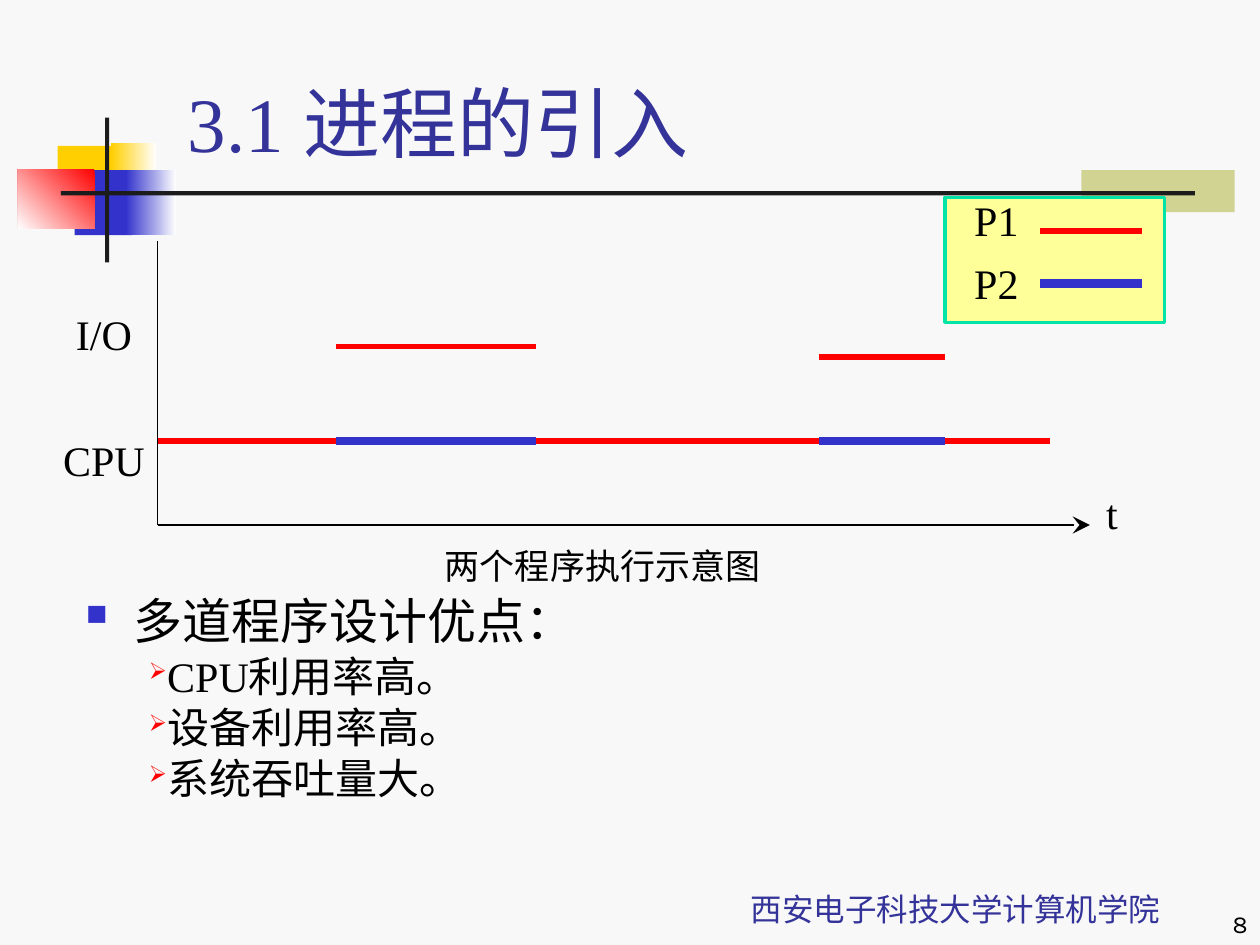
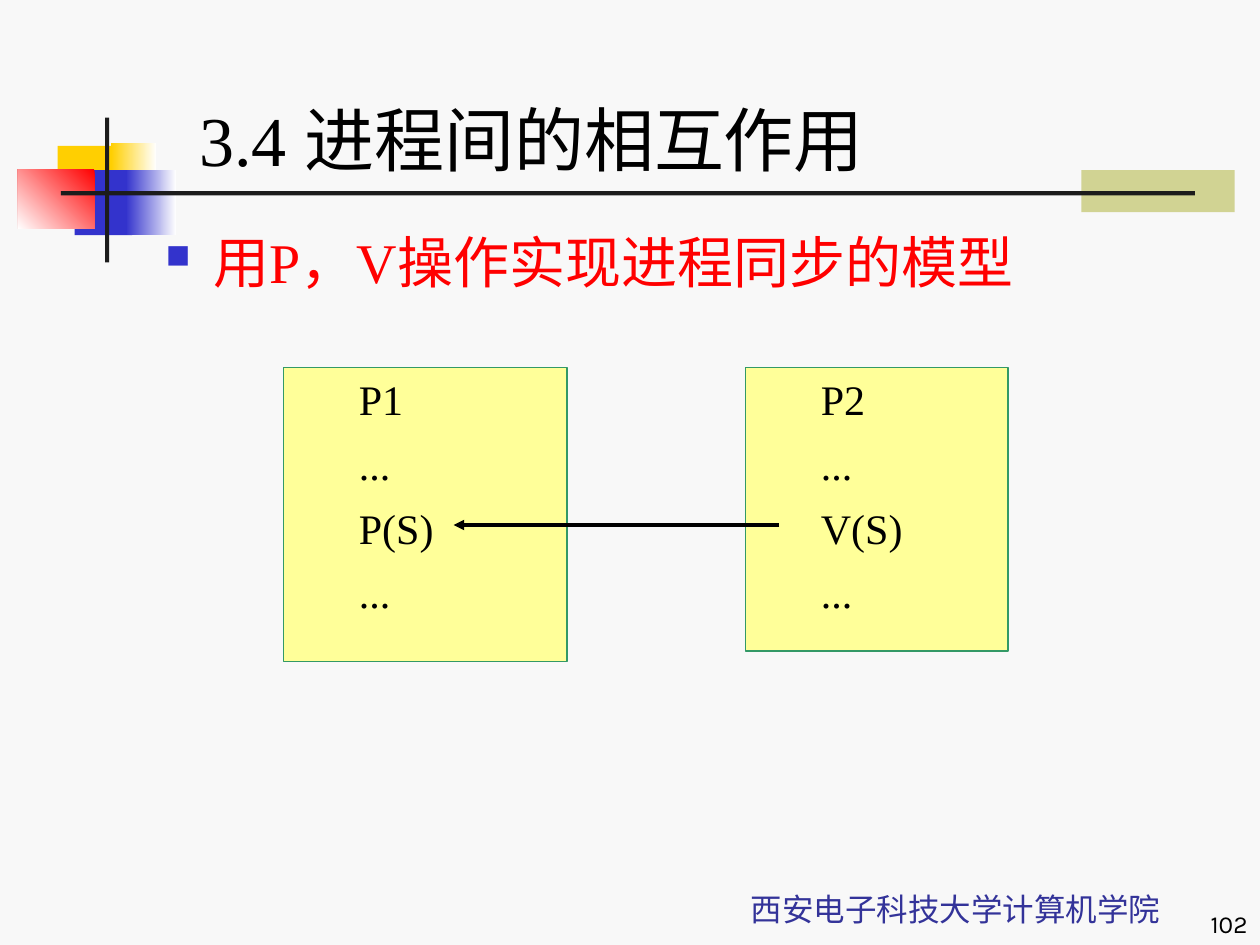
from dataclasses import dataclass
from typing import Optional

from lxml import etree
from pptx import Presentation, util as u
from pptx.dml.color import RGBColor
from pptx.enum import shapes, text
from pptx.oxml import ns

COLUMNS, ROWS = 120, 90
WIDTH, HEIGHT = u.Inches(10), u.Inches(7.5)


@dataclass(frozen=True)
class Theme:
    paper: str = "F8F8F8"
    ink: str = "000000"
    rule: str = "1C1C1C"
    navy: str = "333399"
    blue: str = "3333CC"
    red: str = "FF0000"
    gold: str = "FFCF01"
    olive: str = "D1D393"
    white: str = "FFFFFF"
    panel: str = "FFFF99"
    mint: str = "00E4A8"
    green: str = "339966"
    serif: str = "Times New Roman"
    cjk: str = "Noto Sans CJK SC"
    number_font: str = "Karla"
    heading: int = 32
    topic: int = 28
    label: int = 24
    caption: int = 20
    footer: int = 18
    number: int = 14


THEME = Theme()


@dataclass(frozen=True)
class Area:
    column: float
    row: float
    columns: float
    rows: float

    def emu(self) -> tuple[int, int, int, int]:
        return across(self.column), down(self.row), across(self.columns), down(self.rows)


@dataclass(frozen=True)
class Block:
    area: Area
    color: str
    fade: Optional[str] = None
    angle: int = 0


@dataclass(frozen=True)
class Stroke:
    start: tuple[float, float]
    end: tuple[float, float]
    color: str
    points: float
    arrow: Optional[str] = None
    arrow_size: str = "med"


@dataclass(frozen=True)
class Label:
    words: str
    column: float
    row: float
    columns: float = 12
    size: int = THEME.label


@dataclass(frozen=True)
class Bullet:
    mark: str
    color: str
    percent: int
    margin: float
    indent: float


@dataclass(frozen=True)
class Process:
    area: Area
    steps: tuple[str, ...]


SQUARE = Bullet("■", THEME.blue, 60, 0.38, -0.38)
ARROW = Bullet("➢", THEME.red, 55, 0, 0.5)

ORNAMENTS = (
    Block(Area(103, 16.2, 14.6, 4), THEME.olive),
    Block(Area(5.5, 13.9, 5.8, 6.2), THEME.gold),
    Block(Area(10.6, 13.6, 4.3, 6.2), THEME.white, THEME.gold, 180),
    Block(Area(7.1, 16.2, 5.5, 6.2), THEME.blue),
    Block(Area(12, 16.2, 4.8, 6.2), THEME.white, THEME.blue, 180),
    Block(Area(1.7, 16.1, 7.3, 5.7), THEME.red, THEME.white, 225),
    Block(Area(10, 11.2, 0.4, 13.8), THEME.rule),
    Block(Area(5.8, 18.2, 108, 0.4), THEME.rule),
)


def across(columns: float) -> int:
    return round(WIDTH * columns / COLUMNS)


def down(rows: float) -> int:
    return round(HEIGHT * rows / ROWS)


def rgb(color: str) -> RGBColor:
    return RGBColor.from_string(color)


def add_child(parent, tag: str, **attributes):
    return etree.SubElement(parent, ns.qn(tag), attributes)


def write(frame, words: str, *, size: float, color: str = THEME.ink,
          font: str = THEME.serif, align=text.PP_ALIGN.LEFT, before: float = 0,
          after: float = 0, leading: float = 1, margin: float = 0,
          bullet: Optional[Bullet] = None) -> None:
    fresh = not frame.text
    paragraph = frame.paragraphs[0] if fresh else frame.add_paragraph()
    properties = paragraph._p.get_or_add_pPr()
    indent = bullet.indent if bullet else 0
    margin = bullet.margin if bullet else margin
    properties.set("marL", str(u.Inches(margin)))
    properties.set("indent", str(u.Inches(indent)))
    if bullet:
        add_child(add_child(properties, "a:buClr"), "a:srgbClr", val=bullet.color)
        add_child(properties, "a:buSzPct", val=str(bullet.percent * 1000))
        add_child(properties, "a:buChar", char=bullet.mark)
    paragraph.alignment = align
    paragraph.line_spacing = leading
    paragraph.space_before = u.Pt(0 if fresh else before)
    paragraph.space_after = u.Pt(after)
    run = paragraph.add_run()
    run.text = words
    run.font.size = u.Pt(size)
    run.font.name = font
    run.font.color.rgb = rgb(color)
    add_child(run._r.get_or_add_rPr(), "a:ea", typeface=THEME.cjk)


def text_area(slide, area: Area, anchor=text.MSO_ANCHOR.TOP):
    frame = slide.shapes.add_textbox(*area.emu()).text_frame
    frame.word_wrap = True
    frame.vertical_anchor = anchor
    return frame


def draw_block(slide, block: Block, border: Optional[str] = None, points: float = 0):
    shape = slide.shapes.add_shape(shapes.MSO_SHAPE.RECTANGLE, *block.area.emu())
    shape.shadow.inherit = False
    if block.fade:
        shape.fill.gradient()
        shape.fill.gradient_angle = block.angle
        for stop, color in zip(shape.fill.gradient_stops, (block.color, block.fade)):
            stop.color.rgb = rgb(color)
    else:
        shape.fill.solid()
        shape.fill.fore_color.rgb = rgb(block.color)
    if border:
        shape.line.color.rgb = rgb(border)
        shape.line.width = u.Pt(points)
    else:
        shape.line.fill.background()
    return shape


def draw_stroke(slide, stroke: Stroke) -> None:
    (x1, y1), (x2, y2) = stroke.start, stroke.end
    line = slide.shapes.add_connector(
        shapes.MSO_CONNECTOR.STRAIGHT, across(x1), down(y1), across(x2), down(y2))
    line.line.color.rgb = rgb(stroke.color)
    line.line.width = u.Pt(stroke.points)
    if stroke.arrow:
        add_child(line.line._get_or_add_ln(), "a:tailEnd", type=stroke.arrow,
                  w=stroke.arrow_size, len=stroke.arrow_size)
    add_child(line._element.spPr, "a:effectLst")


def draw_label(slide, label: Label) -> None:
    area = Area(label.column - label.columns / 2, label.row, label.columns, 3.8)
    write(text_area(slide, area, text.MSO_ANCHOR.MIDDLE), label.words,
          size=label.size, align=text.PP_ALIGN.CENTER)


def start_slide(deck, heading: str, area: Area, size: int, color: str, number: int):
    slide = deck.slides.add_slide(deck.slide_layouts[5])
    slide.background.fill.solid()
    slide.background.fill.fore_color.rgb = rgb(THEME.paper)
    for ornament in ORNAMENTS:
        draw_block(slide, ornament)
    title = slide.shapes.title
    title.left, title.top, title.width, title.height = area.emu()
    title.text_frame.auto_size = text.MSO_AUTO_SIZE.NONE
    title.text_frame.vertical_anchor = text.MSO_ANCHOR.BOTTOM
    title.text_frame.margin_bottom = 0
    write(title.text_frame, heading, size=size, color=color)
    write(text_area(slide, Area(64, 82, 54, 7), text.MSO_ANCHOR.BOTTOM),
          "西安电子科技大学计算机学院", size=THEME.footer, color=THEME.navy,
          font=THEME.cjk, align=text.PP_ALIGN.CENTER)
    write(text_area(slide, Area(95, 84, 25, 6), text.MSO_ANCHOR.BOTTOM), str(number),
          size=THEME.number, font=THEME.number_font, align=text.PP_ALIGN.RIGHT)
    return slide


def build_introduction(deck) -> None:
    slide = start_slide(deck, "3.1 进程的引入", Area(16.7, 6, 102.2, 10), 44, THEME.navy, 8)
    advantages = text_area(slide, Area(7, 57, 102, 23))
    write(advantages, "多道程序设计优点：", size=THEME.topic, leading=0.74, after=0.8,
          bullet=SQUARE)
    for advantage in ("CPU利用率高。", "设备利用率高。", "系统吞吐量大。"):
        write(advantages, advantage, size=THEME.label, leading=0.74, before=7.2, after=0.8,
              bullet=ARROW)

    cpu, origin, axis = 42, 15, 50
    first_io, second_io = (32, 51), (78, 90)
    p1_runs = ((origin, 32, cpu), (*first_io, 33), (51, 78, cpu),
               (*second_io, 34), (90, 100, cpu))
    p2_runs = ((*first_io, cpu), (*second_io, cpu))
    for runs, color, points in ((p1_runs, THEME.red, 3), (p2_runs, THEME.blue, 5)):
        for start, end, row in runs:
            draw_stroke(slide, Stroke((start, row), (end, row), color, points))

    draw_block(slide, Block(Area(90, 18.8, 20.9, 11.9), THEME.panel), THEME.mint, 2)
    for name, label_row, row, color, points in (
        ("P1", 19, 22, THEME.red, 3),
        ("P2", 25, 27, THEME.blue, 5),
    ):
        draw_stroke(slide, Stroke((99, row), (108.8, row), color, points))
        draw_label(slide, Label(name, 94.9, label_row))

    draw_stroke(slide, Stroke((origin, axis), (103.8, axis), THEME.ink, 0.75, "stealth", "lg"))
    draw_stroke(slide, Stroke((origin, axis), (origin, 23), THEME.ink, 0.75))
    for label in (
        Label("t", 105.9, 46.9),
        Label("I/O", 9.9, 29.9),
        Label("CPU", 9.9, 41.9),
        Label("两个程序执行示意图", 57.4, 52, 39, THEME.caption),
    ):
        draw_label(slide, label)


def build_interaction(deck) -> None:
    slide = start_slide(
        deck, "3.4 进程间的相互作用", Area(17.8, 7.2, 102.2, 10), 40, THEME.ink, 102)
    write(text_area(slide, Area(14.6, 22.3, 102, 8)), "用P，V操作实现进程同步的模型",
          size=THEME.heading, color=THEME.red, leading=0.8, bullet=SQUARE)
    for process in (
        Process(Area(27, 35, 27, 28), ("P1", "...", "P(S)", "...")),
        Process(Area(71, 35, 25, 27), ("P2", "...", "V(S)", "...")),
    ):
        panel = draw_block(slide, Block(process.area, THEME.panel), THEME.green, 0.75)
        panel.text_frame.vertical_anchor = text.MSO_ANCHOR.TOP
        for step in process.steps:
            write(panel.text_frame, step, size=THEME.label, before=7.2, after=0.8, margin=0.5)
    draw_stroke(slide, Stroke((74.2, 50), (43.2, 50), THEME.ink, 2, "triangle"))


def main() -> None:
    deck = Presentation()
    deck.slide_width, deck.slide_height = WIDTH, HEIGHT
    build_introduction(deck)
    build_interaction(deck)
    deck.save("out.pptx")


if __name__ == "__main__":
    main()
